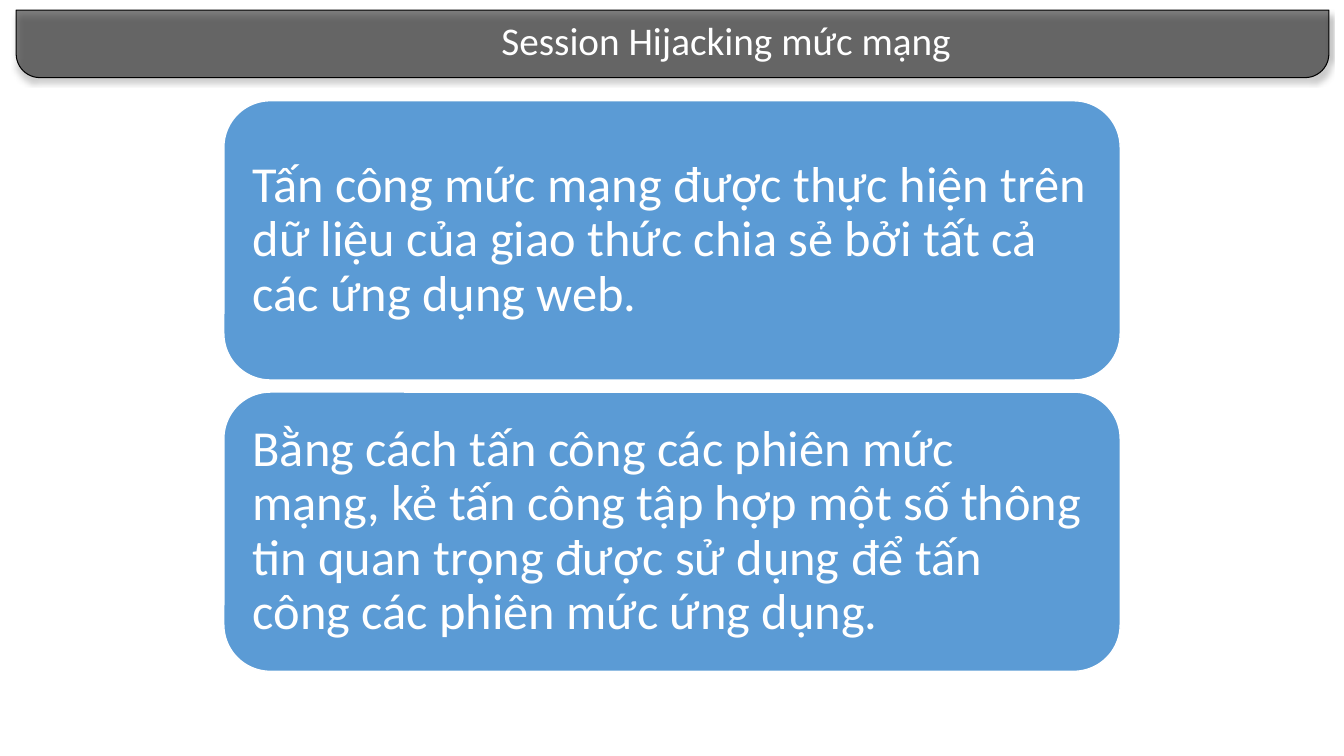
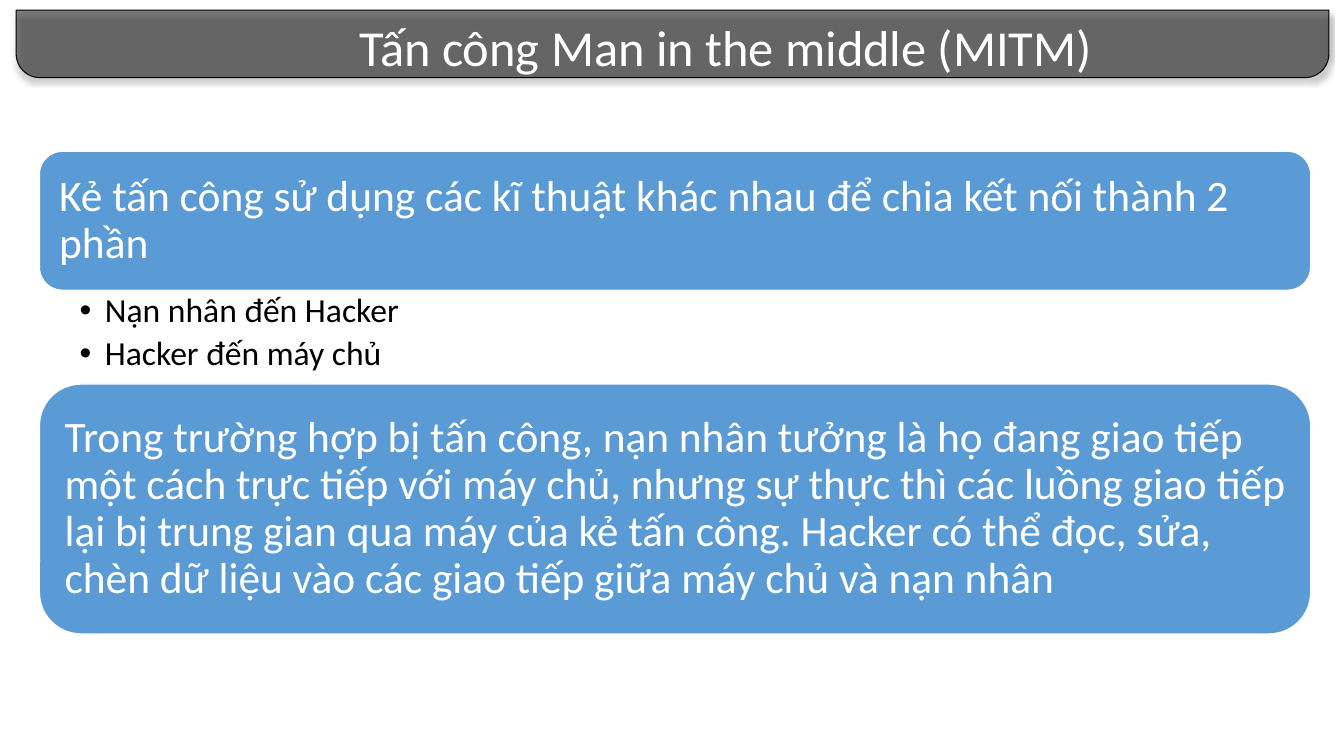
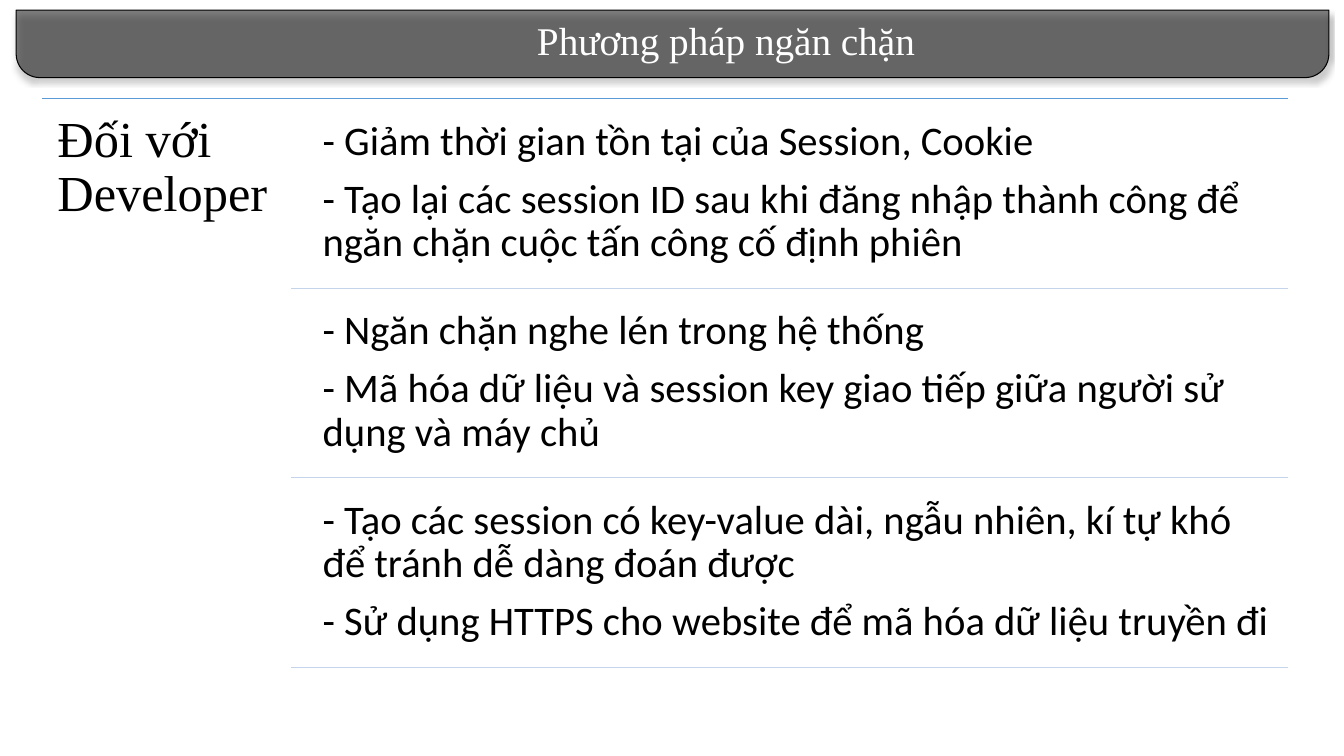
from dataclasses import dataclass

from lxml import etree
from pptx import Presentation
from pptx.dml.color import RGBColor
from pptx.enum.shapes import MSO_CONNECTOR, MSO_SHAPE
from pptx.enum.text import MSO_ANCHOR, MSO_AUTO_SIZE, PP_ALIGN
from pptx.oxml.ns import qn
from pptx.presentation import Presentation as Deck
from pptx.shapes.base import BaseShape
from pptx.slide import Slide
from pptx.text.text import TextFrame
from pptx.util import Inches, Pt

ROUND_RECT = MSO_SHAPE.ROUNDED_RECTANGLE
BAND_SHAPE = MSO_SHAPE.ROUND_2_SAME_RECTANGLE
STRAIGHT = MSO_CONNECTOR.STRAIGHT
TOP, MIDDLE = MSO_ANCHOR.TOP, MSO_ANCHOR.MIDDLE
LEFT, CENTER = PP_ALIGN.LEFT, PP_ALIGN.CENTER
NO_AUTOFIT = MSO_AUTO_SIZE.NONE

COLORS = {
    "black": "000000",
    "white": "FFFFFF",
    "card": "5B9BD5",
    "row_rule": "C4D5EB",
}
SANS, SERIF = "Calibri", "Times New Roman"
TITLE_ONLY, TITLE_AND_LIST, COMPARISON = 5, 1, 4


@dataclass(frozen=True)
class Box:
    left: float
    top: float
    width: float
    height: float


@dataclass(frozen=True)
class TextStyle:
    size: float
    color: str
    font: str = SANS
    align: PP_ALIGN = LEFT
    anchor: MSO_ANCHOR = TOP
    insets: tuple[float, float, float, float] = (0.1, 0.05, 0.1, 0.05)
    line_spacing: float = 0.9
    after: float = 0.35  # share of the text size
    bulleted: bool = False


@dataclass(frozen=True)
class Card:
    box: Box
    text: str
    size: float
    inset: float


def color(name: str) -> RGBColor:
    return RGBColor.from_string(COLORS[name])


def place(shape: BaseShape, box: Box) -> None:
    shape.left, shape.top = Inches(box.left), Inches(box.top)
    shape.width, shape.height = Inches(box.width), Inches(box.height)


def write(frame: TextFrame, lines: list[str], style: TextStyle) -> None:
    frame.text = "\n".join(lines)
    frame.word_wrap = True
    frame.auto_size = NO_AUTOFIT
    frame.vertical_anchor = style.anchor
    (frame.margin_left, frame.margin_top,
     frame.margin_right, frame.margin_bottom) = map(Inches, style.insets)
    for paragraph in frame.paragraphs:
        paragraph.alignment = style.align
        paragraph.line_spacing = style.line_spacing
        paragraph.space_before = Pt(0)
        paragraph.space_after = Pt(round(style.size * style.after, 1))
        set_bullet(paragraph._p.get_or_add_pPr(), style.bulleted)
        for run in paragraph.runs:
            run.font.name = style.font
            run.font.size = Pt(style.size)
            run.font.bold = False
            run.font.color.rgb = color(style.color)


def set_bullet(properties: etree._Element, bulleted: bool) -> None:
    indent = Inches(0.25) if bulleted else 0
    properties.set("marL", str(indent))
    properties.set("indent", str(-indent))
    if bulleted:
        properties.set("lvl", "1")
        etree.SubElement(properties, qn("a:buChar"), char="•")
    else:
        etree.SubElement(properties, qn("a:buNone"))


def add_band(slide: Slide) -> None:
    """Put the translucent title band behind the title."""
    band = slide.shapes.add_shape(
        BAND_SHAPE, Inches(0.16), Inches(0.1), Inches(13.02), Inches(0.67))
    band.rotation = 180
    band.adjustments[0], band.adjustments[1] = 0.352, 0
    band.fill.solid()
    band.fill.fore_color.rgb = color("black")
    band.line.color.rgb = color("black")
    band.line.width = Pt(0.75)
    band.shadow.inherit = False

    properties = band.element.spPr
    fill = properties.find(qn("a:solidFill")).find(qn("a:srgbClr"))
    etree.SubElement(fill, qn("a:alpha"), val="50000")
    shadow = etree.SubElement(
        properties.find(qn("a:effectLst")), qn("a:outerShdw"),
        blurRad=str(Pt(4)), dist=str(Pt(3)), dir="5400000", rotWithShape="0")
    tint = etree.SubElement(shadow, qn("a:srgbClr"), val=COLORS["black"])
    etree.SubElement(tint, qn("a:alpha"), val="40000")
    slide.shapes.title.element.addprevious(band.element)


def add_titled_slide(deck: Deck, layout: int, title: str,
                     size: float = 28, font: str = SANS) -> Slide:
    slide = deck.slides.add_slide(deck.slide_layouts[layout])
    place(slide.shapes.title, Box(3.29, 0.11, 7.82, 0.71 if size > 28 else 0.57))
    write(slide.shapes.title.text_frame, [title],
          TextStyle(size, "white", font, CENTER, line_spacing=1, after=0))
    add_band(slide)
    return slide


def add_card(slide: Slide, card: Card) -> None:
    shape = slide.shapes.add_shape(ROUND_RECT, 0, 0, 0, 0)
    place(shape, card.box)
    shape.shadow.inherit = False
    shape.fill.solid()
    shape.fill.fore_color.rgb = color("card")
    shape.line.color.rgb = color("white")
    shape.line.width = Pt(1)
    write(shape.text_frame, [card.text],
          TextStyle(card.size, "white", anchor=MIDDLE, insets=(card.inset,) * 4))


def add_rule(slide: Slide, left: float, right: float, y: float, name: str) -> None:
    rule = slide.shapes.add_connector(
        STRAIGHT, Inches(left), Inches(y), Inches(right), Inches(y))
    rule.line.color.rgb = color(name)
    rule.line.width = Pt(1)
    etree.SubElement(rule.element.spPr, qn("a:effectLst"))


def build_network_level(deck: Deck) -> None:
    slide = add_titled_slide(deck, TITLE_ONLY, "Session Hijacking mức mạng")
    statements = [
        "Tấn công mức mạng được thực hiện trên dữ liệu của giao thức chia sẻ "
        "bởi tất cả các ứng dụng web.",
        "Bằng cách tấn công các phiên mức mạng, kẻ tấn công tập hợp một số "
        "thông tin quan trọng được sử dụng để tấn công các phiên mức ứng dụng.",
    ]
    height, gap = 2.77, 0.12
    for index, statement in enumerate(statements):
        box = Box(2.22, 1 + index * (height + gap), 8.89, height)
        add_card(slide, Card(box, statement, 36, 0.15))


def build_man_in_the_middle(deck: Deck) -> None:
    slide = add_titled_slide(
        deck, TITLE_AND_LIST, "Tấn công Man in the middle (MITM)", size=36)
    left, width = 0.39, 12.61
    cards = [
        Card(Box(left, 1.5, width, 1.38),
             "Kẻ tấn công sử dụng các kĩ thuật khác nhau để chia kết nối "
             "thành 2 phần", 31, 0.13),
        Card(Box(left, 3.81, width, 2.48),
             "Trong trường hợp bị tấn công, nạn nhân tưởng là họ đang giao tiếp "
             "một cách trực tiếp với máy chủ, nhưng sự thực thì các luồng giao "
             "tiếp lại bị trung gian qua máy của kẻ tấn công. Hacker có thể đọc, "
             "sửa, chèn dữ liệu vào các giao tiếp giữa máy chủ và nạn nhân",
             31, 0.13),
    ]
    for card in cards:
        add_card(slide, card)
    connection_parts = slide.placeholders[1]
    place(connection_parts, Box(left, 2.87, width, 0.94))
    write(connection_parts.text_frame,
          ["Nạn nhân đến Hacker", "Hacker đến máy chủ"],
          TextStyle(24, "black", insets=(0.4, 0.04, 0.24, 0.04),
                    after=0.2, bulleted=True))


def build_prevention(deck: Deck) -> None:
    slide = add_titled_slide(
        deck, COMPARISON, "Phương pháp ngăn chặn", font=SERIF)
    measures = [
        ["- Giảm thời gian tồn tại của Session, Cookie",
         "- Tạo lại các session ID sau khi đăng nhập thành công để ngăn chặn "
         "cuộc tấn công cố định phiên"],
        ["- Ngăn chặn nghe lén trong hệ thống",
         "- Mã hóa dữ liệu và session key giao tiếp giữa người sử dụng và máy chủ"],
        ["- Tạo các session có key-value dài, ngẫu nhiên, kí tự khó để tránh "
         "dễ dàng đoán được",
         "- Sử dụng HTTPS cho website để mã hóa dữ liệu truyền đi"],
    ]
    left, right, top = 0.42, 12.77, 0.98
    row_pitch, row_gap = 1.88, 0.09
    audience, *rows = [slide.placeholders[index] for index in range(1, 5)]

    add_rule(slide, left, right, top, "card")
    place(audience, Box(left, top, 2.47, 5.73))
    write(audience.text_frame, ["Đối với Developer"],
          TextStyle(36, "black", SERIF, insets=(0.15,) * 4))
    for index, (row, lines) in enumerate(zip(rows, measures)):
        row_top = top + index * row_pitch
        place(row, Box(3.08, row_top + row_gap, 9.69, row_pitch - row_gap))
        write(row.text_frame, lines, TextStyle(29, "black", insets=(0.12,) * 4))
        add_rule(slide, 2.89, right, row_top + row_pitch, "row_rule")


def main() -> None:
    deck = Presentation()
    deck.slide_width, deck.slide_height = Inches(13.33), Inches(7.5)
    build_network_level(deck)
    build_man_in_the_middle(deck)
    build_prevention(deck)
    deck.save("out.pptx")


if __name__ == "__main__":
    main()
